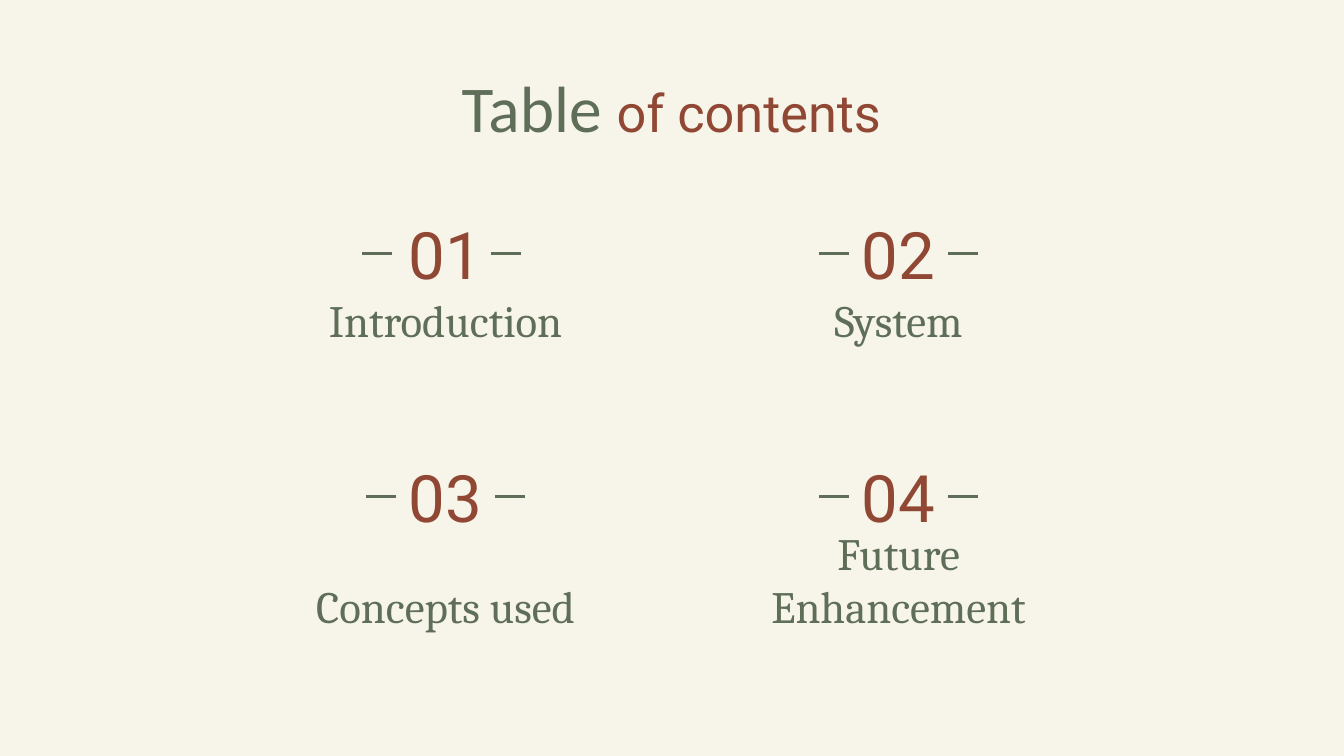
from lxml.etree import SubElement
from pptx import Presentation
from pptx.dml.color import RGBColor
from pptx.enum.shapes import MSO_CONNECTOR
from pptx.enum.text import MSO_ANCHOR, MSO_AUTO_SIZE, PP_ALIGN
from pptx.oxml.ns import qn
from pptx.util import Inches, Pt

CREAM = RGBColor(0xF7, 0xF5, 0xE9)
GREEN = RGBColor(0x5F, 0x6E, 0x59)
RUST = RGBColor(0x90, 0x48, 0x34)

# Widescreen, 16 to 9
SLIDE_W = 10
SLIDE_H = SLIDE_W * 9 / 16
# Two columns meet on the slide's centre line
COLUMN_W, ROW_H = 3.37, 1.81
GRID_LEFT, GRID_TOP = SLIDE_W / 2 - COLUMN_W, 1.64
NUMBER_W, NUMBER_H = 0.8, 0.49
CAPTION_H = 0.43
DASH_W, DASH_REACH = 0.22, 0.59

# Number, caption lines, caption width, caption drop, shift of the dashes
ENTRIES = [
    ("01", "Introduction", 2.52, 0.61, -0.03),
    ("02", "System", 2.52, 0.61, 0),
    ("03", "Concepts used", 2.18, 0.93, 0),
    ("04", "Future\nEnhancement", 2.52, 0.93, 0),
]


def style_frame(frame, anchor):
    frame.word_wrap = True
    frame.auto_size = MSO_AUTO_SIZE.NONE
    frame.vertical_anchor = anchor
    frame.margin_left = frame.margin_right = Inches(0.1)
    frame.margin_top = frame.margin_bottom = Inches(0.1)
    for paragraph in frame.paragraphs:
        paragraph.alignment = PP_ALIGN.CENTER


def style_run(run, font_name, size, color):
    run.font.name = font_name
    run.font.size = Pt(size)
    run.font.color.rgb = color


def add_label(slide, text, box, anchor, font_name, size, color):
    label = slide.shapes.add_textbox(*map(Inches, box))
    label.text_frame.text = text
    style_frame(label.text_frame, anchor)
    for paragraph in label.text_frame.paragraphs:
        for run in paragraph.runs:
            style_run(run, font_name, size, color)


def add_dash(slide, left, y):
    dash = slide.shapes.add_connector(
        MSO_CONNECTOR.STRAIGHT, *map(Inches, (left, y, left + DASH_W, y)))
    dash.line.color.rgb = GREEN
    dash.line.width = Pt(1.5)
    SubElement(dash._element.spPr, qn("a:effectLst"))


def place_title(slide, left, top, width, height):
    title = slide.shapes.title
    title.left, title.top = Inches(left), Inches(top)
    title.width, title.height = Inches(width), Inches(height)
    heading = title.text_frame.paragraphs[0]
    for text, font_name, size, color in (
            ("Table ", "Calibri", 35, GREEN),
            ("of contents", "Roboto", 28, RUST)):
        run = heading.add_run()
        run.text = text
        style_run(run, font_name, size, color)
    style_frame(title.text_frame, MSO_ANCHOR.TOP)


def add_entry(slide, left, top, width, entry):
    number, caption, caption_w, caption_drop, dash_shift = entry
    center = left + width / 2

    # Number between two dashes
    add_label(slide, number, (center - NUMBER_W / 2, top, NUMBER_W, NUMBER_H),
              MSO_ANCHOR.MIDDLE, "Roboto", 35, RUST)
    for dash_left in (center - DASH_REACH, center + DASH_REACH - DASH_W):
        add_dash(slide, dash_left + dash_shift, top + NUMBER_H / 2)

    # Caption below
    add_label(slide, caption,
              (center - caption_w / 2, top + caption_drop, caption_w, CAPTION_H),
              MSO_ANCHOR.BOTTOM, "Cambria", 24, GREEN)


def main():
    deck = Presentation()
    deck.slide_width, deck.slide_height = Inches(SLIDE_W), Inches(SLIDE_H)
    slide = deck.slides.add_slide(deck.slide_layouts.get_by_name("Title Only"))
    slide.background.fill.solid()
    slide.background.fill.fore_color.rgb = CREAM

    place_title(slide, 3.09, 0.4, 3.81, 0.63)
    for index, entry in enumerate(ENTRIES):
        row, column = divmod(index, 2)
        add_entry(slide, GRID_LEFT + column * COLUMN_W,
                  GRID_TOP + row * ROW_H, COLUMN_W, entry)
    deck.save("out.pptx")


if __name__ == "__main__":
    main()
